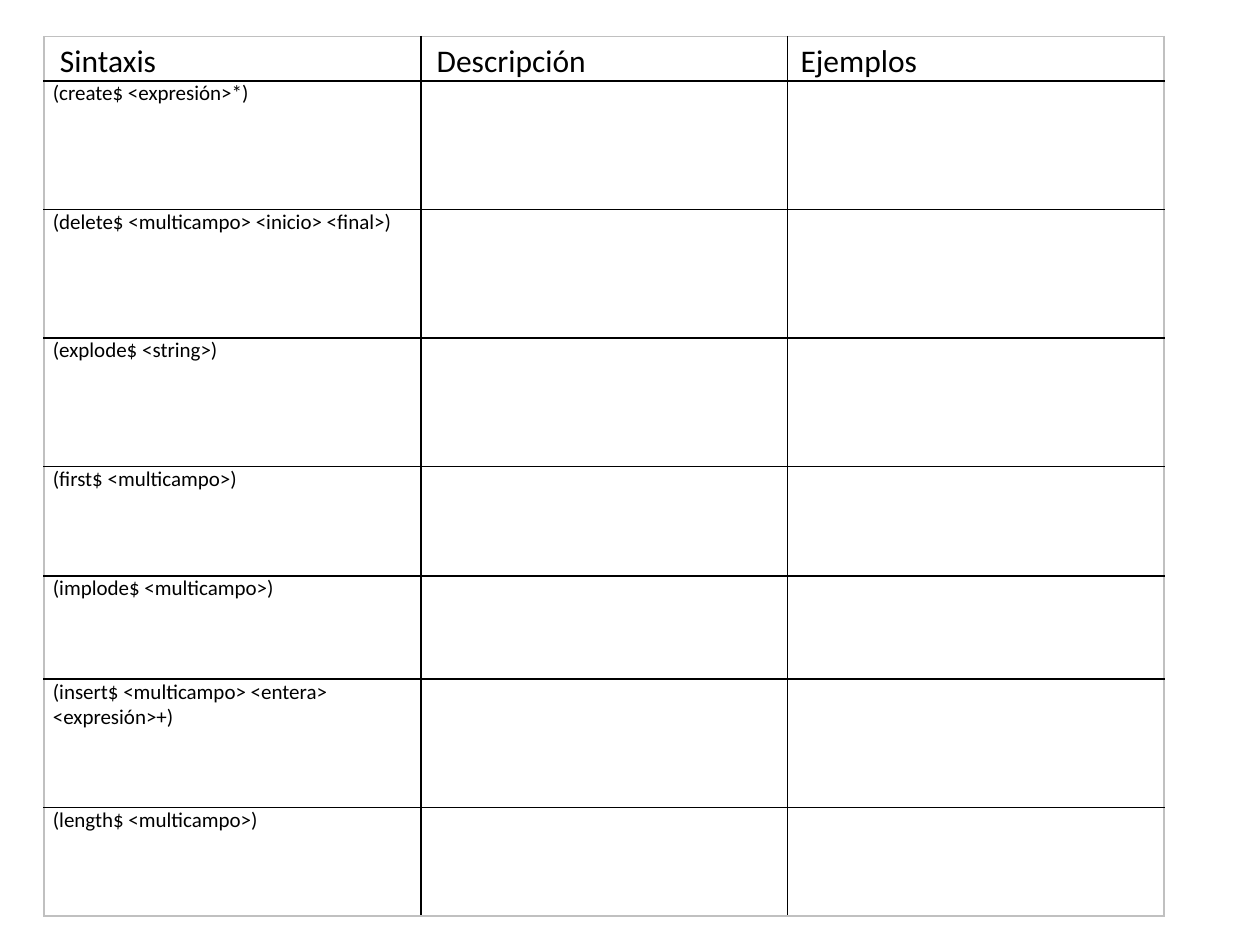
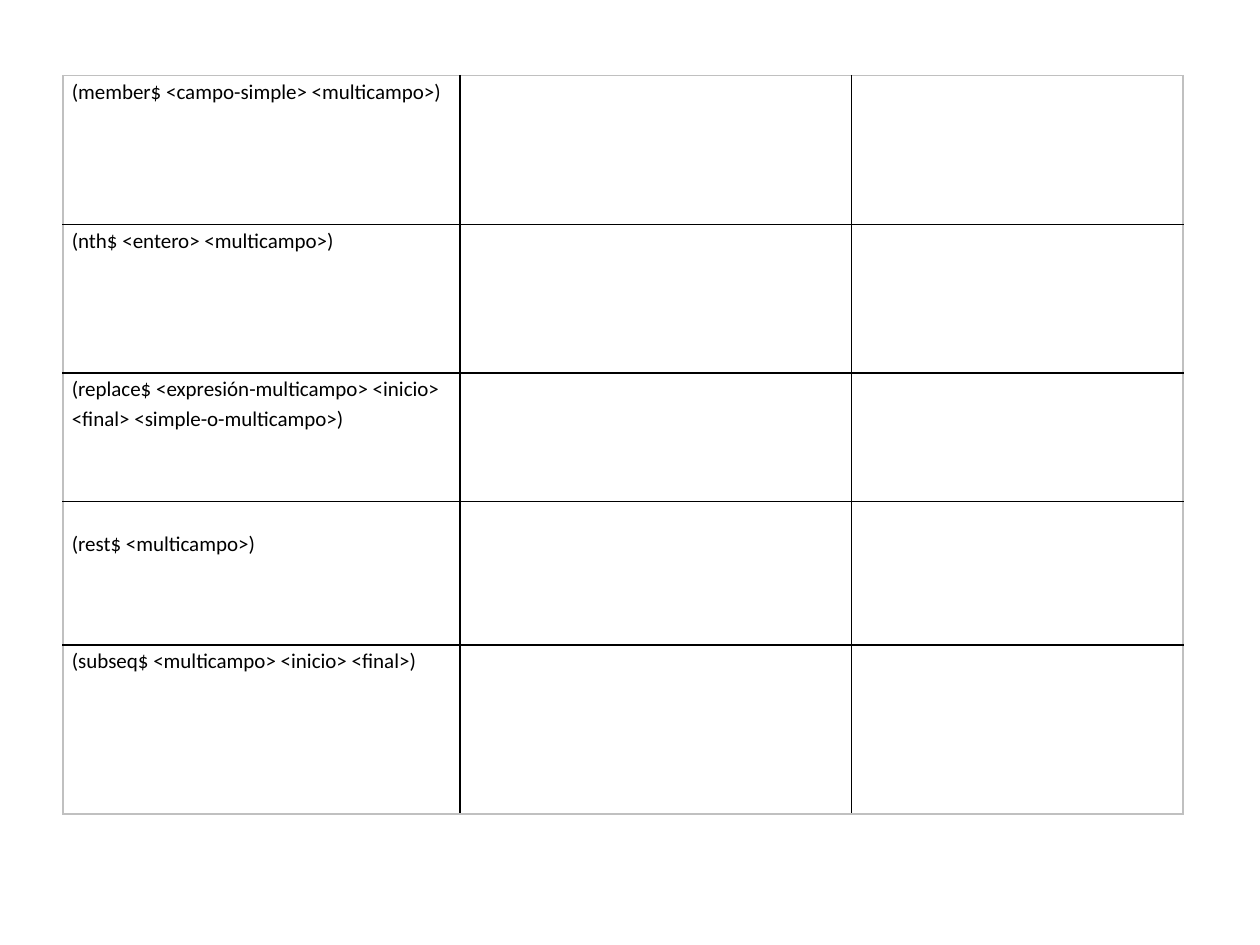
"""Build two slides of multifield function tables."""
from dataclasses import dataclass

from lxml import etree
from pptx import Presentation
from pptx import util as u
from pptx.dml.color import RGBColor
from pptx.enum import text
from pptx.oxml import ns

GRID_COLUMNS, GRID_ROWS = 100, 75


@dataclass(frozen=True)
class Theme:
    font: str = "Calibri"
    ink: str = "000000"
    frame: str = "C0C0C0"
    header_size: float = 18
    body_size: float = 12
    small_size: float = 11
    border: float = 1
    side_margin: float = 0.07
    loose: float = 1.15


class Deck:
    def __init__(self, theme):
        self.theme = theme
        self.presentation = Presentation()
        self.presentation.slide_width = u.Inches(10)
        self.presentation.slide_height = u.Inches(7.5)
        self.slide = None

    def x(self, columns):
        return round(self.presentation.slide_width * columns / GRID_COLUMNS)

    def y(self, rows):
        return round(self.presentation.slide_height * rows / GRID_ROWS)

    def add_slide(self):
        self.slide = self.presentation.slides.add_slide(self.presentation.slide_layouts[6])

    def add_table(self, left, top, widths, heights):
        shape = self.slide.shapes.add_table(
            len(heights), len(widths), self.x(left), self.y(top),
            self.x(sum(widths)), self.y(sum(heights)))
        table = shape.table
        table.first_row = table.horz_banding = False
        for column, width in zip(table.columns, widths):
            column.width = self.x(width)
        for row, height in zip(table.rows, heights):
            row.height = self.y(height)
        last_row, last_column = len(heights) - 1, len(widths) - 1
        for i in range(len(heights)):
            for j in range(len(widths)):
                cell = table.cell(i, j)
                cell.fill.background()
                cell.vertical_anchor = text.MSO_ANCHOR.TOP
                cell.margin_left = cell.margin_right = u.Inches(self.theme.side_margin)
                cell.margin_top = cell.margin_bottom = 0
                self.add_borders(cell, {"lnL": j == 0, "lnR": j == last_column,
                                        "lnT": i == 0, "lnB": i == last_row})
        return table

    def add_borders(self, cell, edges):
        properties = cell._tc.get_or_add_tcPr()
        for position, (tag, outer) in enumerate(edges.items()):
            line = etree.Element(ns.qn("a:" + tag), w=str(u.Pt(self.theme.border)))
            fill = etree.SubElement(line, ns.qn("a:solidFill"))
            etree.SubElement(fill, ns.qn("a:srgbClr"),
                             val=self.theme.frame if outer else self.theme.ink)
            properties.insert(position, line)

    def fill_cell(self, cell, *runs, spacing=1.0):
        paragraph = cell.text_frame.paragraphs[0]
        paragraph.line_spacing = spacing
        paragraph.font.name = self.theme.font
        paragraph.font.color.rgb = RGBColor.from_string(self.theme.ink)
        for words, size in runs:
            run = paragraph.add_run()
            run.text = words
            run.font.size = u.Pt(size)

    def fill_syntax(self, table, first_row, entries, spacing=1.0):
        for i, entry in enumerate(entries, first_row):
            self.fill_cell(table.cell(i, 0), (entry, self.theme.body_size), spacing=spacing)


theme = Theme()
deck = Deck(theme)

deck.add_slide()
table = deck.add_table(3.5, 2.9, [29.9, 29.1, 29.9],
                       [3.5, 10.2, 10.2, 10.2, 8.7, 8.2, 10.2, 8.6])
headers = [
    [("\u00a0Sintaxis", theme.header_size)],
    [("\u00a0Descripción ", theme.header_size)],
    [("\u00a0", theme.small_size), ("Ejemplos", theme.header_size)],
]
for j, runs in enumerate(headers):
    deck.fill_cell(table.cell(0, j), *runs, spacing=theme.loose)
deck.fill_syntax(table, 1, [
    "(create$ <expresión>*)",
    "(delete$ <multicampo> <inicio> <final>)",
    "(explode$ <string>)",
    "(first$ <multicampo>)",
    "(implode$ <multicampo>)",
    "(insert$ <multicampo> <entera> <expresión>+)",
    "(length$ <multicampo>)",
])

deck.add_slide()
table = deck.add_table(5, 6, [31.5, 31.1, 26.3], [11.8, 11.8, 10.2, 11.4, 13.4])
deck.fill_syntax(table, 0, [
    "(member$ <campo-simple> <multicampo>)",
    "(nth$ <entero> <multicampo>)",
    "(replace$ <expresión-multicampo> <inicio> <final> <simple-o-multicampo>)",
    "(rest$ <multicampo>)",
    "(subseq$ <multicampo> <inicio> <final>)",
], spacing=theme.loose)
table.cell(3, 0).margin_top = deck.y(2.1)

deck.presentation.save("out.pptx")
